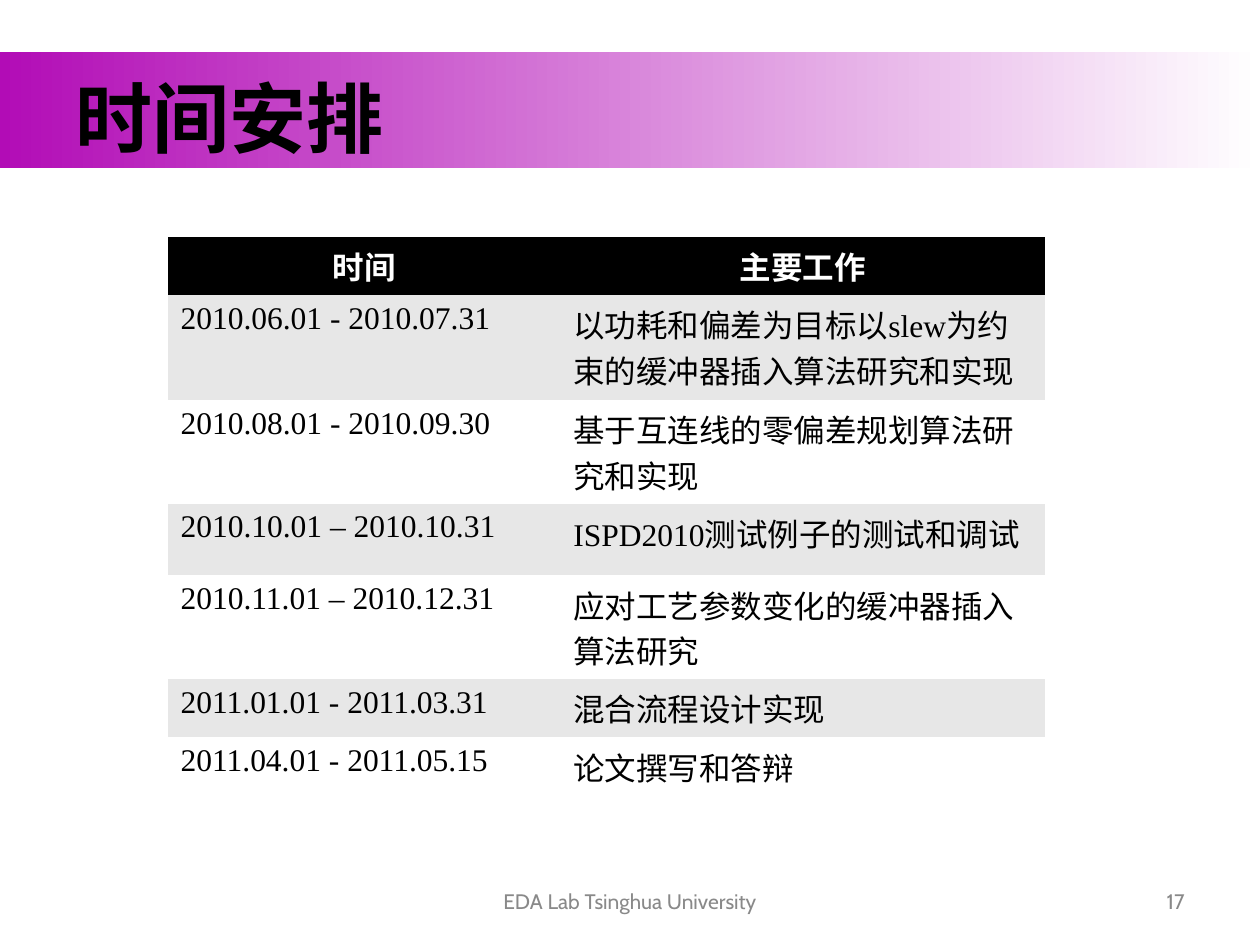
from typing import NamedTuple

from pptx import Presentation
from pptx.dml.color import RGBColor
from pptx.enum import shapes, text
from pptx.oxml.ns import qn
from pptx.util import Pt

BLACK, WHITE, GREY, BAND_GREY = "000000", "FFFFFF", "898989", "E7E7E7"
PURPLE = "B20CB6"
PLAIN_TABLE_STYLE = "{2D5ABB26-0587-4C30-8999-92F81FD0307C}"


class Stage(NamedTuple):
    period: str
    work: str
    height: float


class Footer(NamedTuple):
    words: str
    left: float
    width: float
    align: text.PP_ALIGN


HEADER = Stage("时间", "主要工作", 30.24)
STAGES = [
    Stage("2010.06.01 - 2010.07.31", "以功耗和偏差为目标以slew为约束的缓冲器插入算法研究和实现", 59.76),
    Stage("2010.08.01 - 2010.09.30", "基于互连线的零偏差规划算法研究和实现", 50.4),
    Stage("2010.10.01 – 2010.10.31", "ISPD2010测试例子的测试和调试", 41),
    Stage("2010.11.01 – 2010.12.31", "应对工艺参数变化的缓冲器插入算法研究", 54.72),
    Stage("2011.01.01 - 2011.03.31", "混合流程设计实现", 30.24),
    Stage("2011.04.01 - 2011.05.15", "论文撰写和答辩", 30.24),
]
COLUMN_WIDTHS = [224.5, 276.5]
FOOTERS = [
    Footer("EDA Lab Tsinghua University", 246, 228, text.PP_ALIGN.CENTER),
    Footer("17", 516, 168, text.PP_ALIGN.RIGHT),
]


def rgb(value: str) -> RGBColor:
    return RGBColor.from_string(value)


def write(frame, words: str, font: str, size: float, color: str,
          align=text.PP_ALIGN.LEFT, bold: bool = False) -> None:
    """Fill a text frame with one formatted paragraph."""
    frame.text = words
    para = frame.paragraphs[0]
    para.alignment = align
    for span in para.runs:
        span.font.name = font
        span.font.size = Pt(size)
        span.font.bold = bold
        span.font.color.rgb = rgb(color)


def add_title(page, words: str) -> None:
    """Place the title over a band that fades to white."""
    title = page.shapes.title
    title.left, title.top, title.width, title.height = Pt(36), Pt(21.6), Pt(648), Pt(90)
    title.text_frame.vertical_anchor = text.MSO_ANCHOR.MIDDLE
    write(title.text_frame, words, "Cabin", 44, BLACK, bold=True)

    band = page.shapes.add_shape(shapes.MSO_SHAPE.RECTANGLE, 0, Pt(30), Pt(720), Pt(66))
    band.shadow.inherit = False
    band.line.fill.background()
    band.fill.gradient()
    band.fill.gradient_angle = 0
    for stop, color, position in zip(band.fill.gradient_stops, (PURPLE, WHITE), (0, 1)):
        stop.color.rgb = rgb(color)
        stop.position = position
    title.element.addprevious(band.element)


def add_schedule(page, stages: list[Stage]) -> None:
    rows = [HEADER, *stages]
    frame = page.shapes.add_table(
        len(rows), len(COLUMN_WIDTHS), Pt(96), Pt(135.36),
        Pt(sum(COLUMN_WIDTHS)), Pt(sum(row.height for row in rows)))
    table = frame.table
    frame.element.find(".//" + qn("a:tableStyleId")).text = PLAIN_TABLE_STYLE
    for column, width in zip(table.columns, COLUMN_WIDTHS):
        column.width = Pt(width)
    for number, stage in enumerate(rows):
        table.rows[number].height = Pt(stage.height)
        is_header = number == 0
        background = BLACK if is_header else BAND_GREY if number % 2 else WHITE
        for cell, words in zip(table.rows[number].cells, (stage.period, stage.work)):
            cell.fill.solid()
            cell.fill.fore_color.rgb = rgb(background)
            write(cell.text_frame, words, "Times New Roman", 18,
                  WHITE if is_header else BLACK,
                  text.PP_ALIGN.CENTER if is_header else text.PP_ALIGN.LEFT, is_header)


def add_footer(page, footer: Footer) -> None:
    box = page.shapes.add_textbox(Pt(footer.left), Pt(500.5), Pt(footer.width), Pt(28.75))
    box.text_frame.word_wrap = True
    box.text_frame.vertical_anchor = text.MSO_ANCHOR.MIDDLE
    write(box.text_frame, footer.words, "Cabin", 12, GREY, footer.align)


def main() -> None:
    deck = Presentation()
    deck.slide_width, deck.slide_height = Pt(720), Pt(540)
    page = deck.slides.add_slide(deck.slide_layouts.get_by_name("Title Only"))
    add_title(page, "时间安排")
    add_schedule(page, STAGES)
    for footer in FOOTERS:
        add_footer(page, footer)
    deck.save("out.pptx")


if __name__ == "__main__":
    main()
